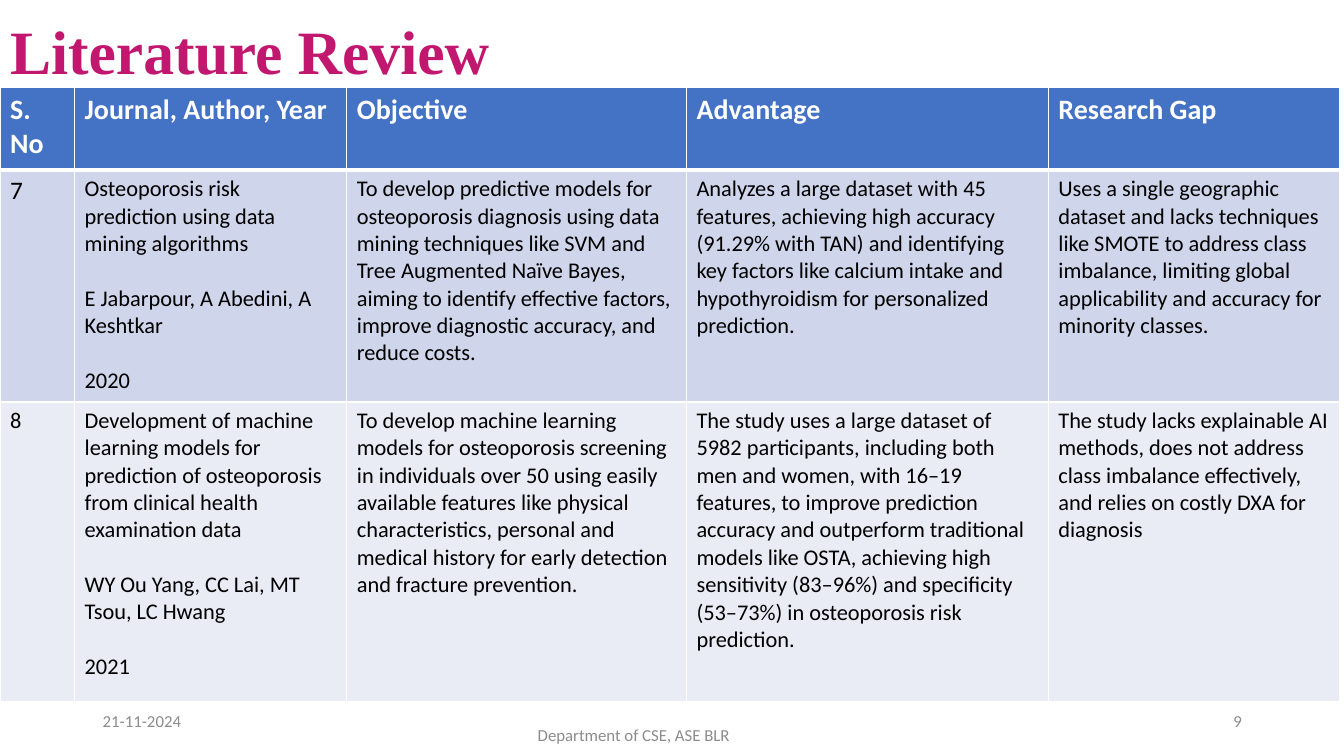
from lxml import etree
from pptx import Presentation
from pptx.dml.color import RGBColor
from pptx.enum import text
from pptx.oxml import ns
from pptx.util import Cm, Pt

WHITE = RGBColor(0xFF, 0xFF, 0xFF)
BLACK = RGBColor(0x00, 0x00, 0x00)
PINK = RGBColor(0xC2, 0x17, 0x6F)
GREY = RGBColor(0x8C, 0x8C, 0x8C)
BLUE = RGBColor(0x44, 0x72, 0xC4)
BANDS = [RGBColor(0xCF, 0xD5, 0xEA), RGBColor(0xE9, 0xEB, 0xF5)]

COLUMN_WIDTHS = [1.88, 6.86, 8.56, 9.12, 7.34]
ROW_HEIGHTS = [2.08, 5.84, 7.54]
HEADINGS = ["S. No", "Journal, Author, Year", "Objective", "Advantage", "Research Gap"]
STUDIES = [
    ["7",
     ["Osteoporosis risk prediction using data mining algorithms",
      "E Jabarpour, A Abedini, A Keshtkar",
      "2020"],
     "To develop predictive models for osteoporosis diagnosis using data mining "
     "techniques like SVM and Tree Augmented Naïve Bayes, aiming to identify effective "
     "factors, improve diagnostic accuracy, and reduce costs.",
     "Analyzes a large dataset with 45 features, achieving high accuracy (91.29% with "
     "TAN) and identifying key factors like calcium intake and hypothyroidism for "
     "personalized prediction.",
     "Uses a single geographic dataset and lacks techniques like SMOTE to address class "
     "imbalance, limiting global applicability and accuracy for minority classes."],
    ["8",
     ["Development of machine learning models for prediction of osteoporosis from "
      "clinical health examination data",
      "WY Ou Yang, CC Lai, MT Tsou, LC Hwang",
      "2021"],
     "To develop machine learning models for osteoporosis screening in individuals over "
     "50 using easily available features like physical characteristics, personal and "
     "medical history for early detection and fracture prevention.",
     "The study uses a large dataset of 5982 participants, including both men and women, "
     "with 16–19 features, to improve prediction accuracy and outperform traditional "
     "models like OSTA, achieving high sensitivity (83–96%) and specificity (53–73%) in "
     "osteoporosis risk prediction.",
     "The study lacks explainable AI methods, does not address class imbalance "
     "effectively, and relies on costly DXA for diagnosis"],
]


def write(tf, content, size=16, color=BLACK, bold=False, font="Calibri",
          align=text.PP_ALIGN.LEFT, gap=0, spacing=None):
    """Fill a text frame with one string or a list of paragraphs, gap points apart."""
    paragraphs = [content] if isinstance(content, str) else content
    tf.word_wrap = True
    for i, line in enumerate(paragraphs):
        p = tf.add_paragraph() if i else tf.paragraphs[0]
        p.alignment = align
        p.line_spacing = spacing
        if i:
            p.space_before = Pt(gap)
        r = p.add_run()
        r.text = line
        r.font.size, r.font.bold, r.font.name = Pt(size), bold, font
        r.font.color.rgb = color


def set_borders(cell, bottom=1):
    tc_pr = cell._tc.get_or_add_tcPr()
    for side, width in [("L", 1), ("R", 1), ("T", 1), ("B", bottom)]:
        ln = etree.SubElement(tc_pr, ns.qn(f"a:ln{side}"), w=str(Pt(width)))
        fill = etree.SubElement(ln, ns.qn("a:solidFill"))
        etree.SubElement(fill, ns.qn("a:srgbClr"), val=str(WHITE))


class ReviewSlide:
    """Holds the current slide and the style of its elements."""

    def __init__(self, prs):
        self.s = prs.slides.add_slide(prs.slide_layouts[5])
        self.title_style = dict(size=44, color=PINK, bold=True,
                                font="Times New Roman", spacing=0.9)
        self.heading_style = dict(size=20, color=WHITE, bold=True)
        self.footer_style = dict(size=12, color=GREY)

    def title(self, content, x, y, w, h):
        sp = self.s.shapes.title
        sp.left, sp.top, sp.width, sp.height = Cm(x), Cm(y), Cm(w), Cm(h)
        tf = sp.text_frame
        tf.auto_size = text.MSO_AUTO_SIZE.NONE
        tf.vertical_anchor = text.MSO_ANCHOR.MIDDLE
        write(tf, content, **self.title_style)

    def table(self, x, y):
        table = self.s.shapes.add_table(
            len(ROW_HEIGHTS), len(COLUMN_WIDTHS), Cm(x), Cm(y),
            Cm(sum(COLUMN_WIDTHS)), Cm(sum(ROW_HEIGHTS))).table
        for column, width in zip(table.columns, COLUMN_WIDTHS):
            column.width = Cm(width)
        for row, height in zip(table.rows, ROW_HEIGHTS):
            row.height = Cm(height)
        for cell, heading in zip(table.rows[0].cells, HEADINGS):
            self.cell(cell, heading, BLUE, bottom=3, **self.heading_style)
        for i, (study, band) in enumerate(zip(STUDIES, BANDS), start=1):
            for cell, content in zip(table.rows[i].cells, study):
                self.cell(cell, content, band, size=18 if content == "7" else 16, gap=19.5)

    def cell(self, cell, content, background, bottom=1, **style):
        set_borders(cell, bottom)
        cell.fill.solid()
        cell.fill.fore_color.rgb = background
        write(cell.text_frame, content, **style)

    def footer(self, content, x, y, w, align):
        tf = self.s.shapes.add_textbox(Cm(x), Cm(y), Cm(w), Cm(1.02)).text_frame
        tf.vertical_anchor = text.MSO_ANCHOR.MIDDLE
        write(tf, content, align=align, **self.footer_style)


def main():
    prs = Presentation()
    prs.slide_width, prs.slide_height = Cm(33.87), Cm(19.05)
    slide = ReviewSlide(prs)
    slide.title("Literature Review", 0, 0, 13.03, 2.74)
    slide.table(0, 2.21)
    slide.footer("21-11-2024", 2.34, 17.65, 7.62, text.PP_ALIGN.LEFT)
    slide.footer("Department of CSE, ASE BLR", 10.26, 18.01, 11.43, text.PP_ALIGN.CENTER)
    slide.footer("9", 23.93, 17.65, 7.62, text.PP_ALIGN.RIGHT)
    prs.save("out.pptx")


if __name__ == "__main__":
    main()
